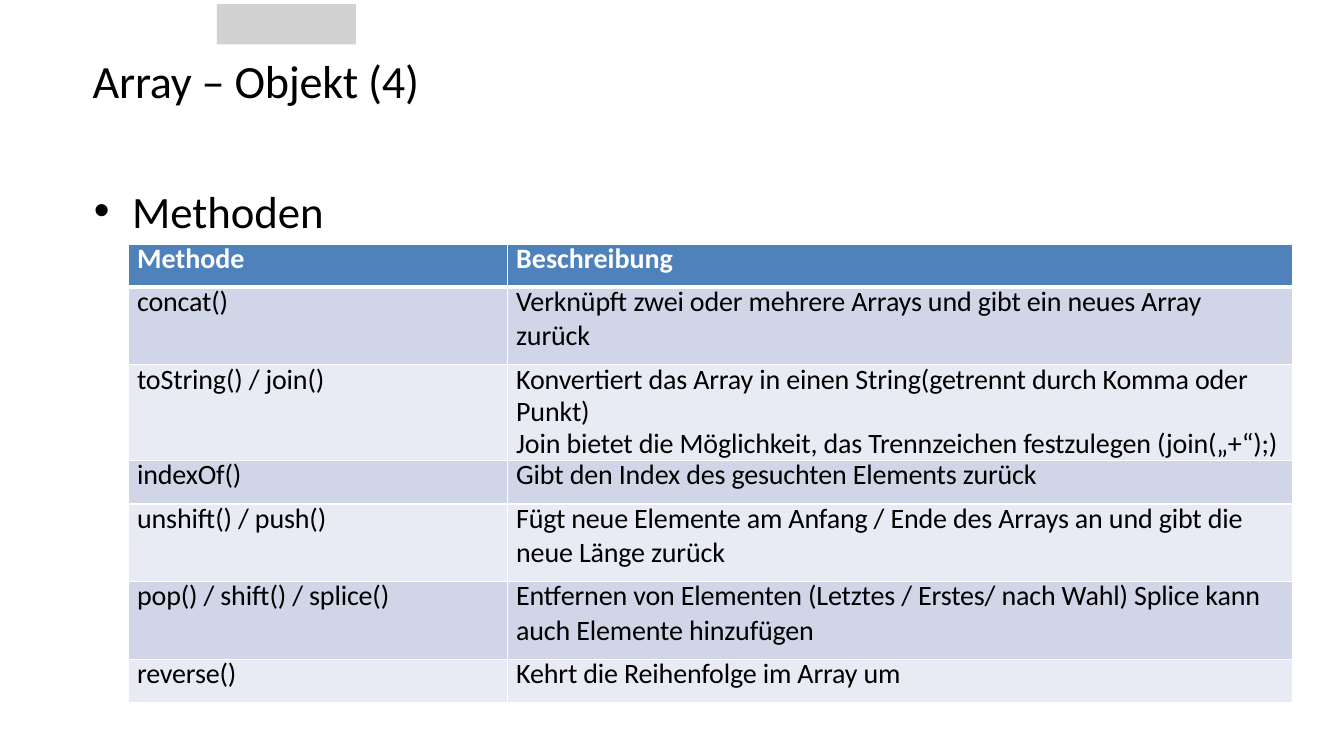
from pptx import Presentation
from pptx.dml.color import RGBColor
from pptx.enum.shapes import MSO_SHAPE
from pptx.oxml.ns import qn
from pptx.util import Emu, Pt
from lxml import etree

RECTANGLE = MSO_SHAPE.RECTANGLE
PX = 9144  # 100 px to the inch

THEME = {
    "font": "Calibri",
    "black": RGBColor(0x00, 0x00, 0x00),
    "white": RGBColor(0xFF, 0xFF, 0xFF),
    "grey": RGBColor(0xD3, 0xD2, 0xD2),
    "header": RGBColor(0x4F, 0x81, 0xBB),
    "bands": [RGBColor(0xE9, 0xEB, 0xF4), RGBColor(0xD0, 0xD6, 0xE8)],
    "title_size": Pt(33),
    "bullet_size": Pt(32),
    "table_size": Pt(20),
    "line_spacing": Pt(22.8),
}


def write(paragraph, text, size, color, bold=False, tracking=-10):
    """Fill a paragraph; tracking is in hundredths of a point."""
    paragraph.text = text
    formats = {"name": THEME["font"], "size": size, "bold": bold}
    for run in paragraph.runs:
        for name, value in formats.items():
            setattr(run.font, name, value)
        run.font.color.rgb = color
        run._r.get_or_add_rPr().set("spc", str(tracking))


def add_border(cell, side, width):
    properties = cell._tc.get_or_add_tcPr()
    line = etree.SubElement(properties, qn(f"a:ln{side}"), w=str(Pt(width)))
    fill = etree.SubElement(line, qn("a:solidFill"))
    etree.SubElement(fill, qn("a:srgbClr"), val=str(THEME["white"]))


presentation = Presentation()
presentation.slide_width = Emu(1333 * PX)
presentation.slide_height = Emu(750 * PX)
slide = presentation.slides.add_slide(presentation.slide_layouts[6])

# Grey block at the top
block = slide.shapes.add_shape(RECTANGLE, 215 * PX, 4 * PX, 138 * PX, 40 * PX)
block.shadow.inherit = False
block.fill.solid()
block.fill.fore_color.rgb = THEME["grey"]
block.line.fill.background()

# Title and bullet
headings = [
    ("Array – Objekt (4)", (92, 51, 327, 58), THEME["title_size"], -20),
    ("Methoden", (92, 181, 231, 56), THEME["bullet_size"], -5),
]
for text, box, size, tracking in headings:
    shape = slide.shapes.add_textbox(*[length * PX for length in box])
    frame = shape.text_frame
    margins = {"margin_left": 0, "margin_top": PX, "margin_right": 0, "margin_bottom": 0}
    for name, value in margins.items():
        setattr(frame, name, value)
    paragraph = frame.paragraphs[0]
    paragraph.space_before = Pt(1)
    write(paragraph, text, size, THEME["black"], tracking=tracking)

# The last heading carries the bullet
bullet_properties = paragraph._p.get_or_add_pPr()
bullet_properties.set("marL", str(39 * PX))
bullet_properties.set("indent", str(-38 * PX))
etree.SubElement(bullet_properties, qn("a:buFont"), typeface="Arial")
etree.SubElement(bullet_properties, qn("a:buChar"), char="•")

# Table of methods: "\n" starts a paragraph, "\v" breaks a line
methods = [
    ("Methode", "Beschreibung"),
    ("concat()", "Verknüpft zwei oder mehrere Arrays und gibt ein neues Array\nzurück"),
    ("toString() / join()",
     "Konvertiert das Array in einen String(getrennt durch Komma oder Punkt) \v"
     "Join bietet die Möglichkeit, das Trennzeichen festzulegen (join(„+“);)"),
    ("indexOf()", "Gibt den Index des gesuchten Elements zurück"),
    ("unshift() / push()",
     "Fügt neue Elemente am Anfang / Ende des Arrays an und gibt die\nneue Länge zurück"),
    ("pop() / shift() / splice()",
     "Entfernen von Elementen (Letztes / Erstes/ nach Wahl) Splice kann\n"
     "auch Elemente hinzufügen"),
    ("reverse()", "Kehrt die Reihenfolge im Array um"),
]
column_widths = [376, 779]
row_heights = [43, 77, 95, 43, 77, 77, 43]

table = slide.shapes.add_table(
    len(methods), len(column_widths), 127 * PX, 242 * PX,
    sum(column_widths) * PX, sum(row_heights) * PX).table
for column, width in zip(table.columns, column_widths):
    column.width = Emu(width * PX)

for row_index, texts in enumerate(methods):
    table.rows[row_index].height = Emu(row_heights[row_index] * PX)
    is_header = row_index == 0
    for column_index, text in enumerate(texts):
        cell = table.cell(row_index, column_index)
        margins = {"margin_left": 9 * PX, "margin_top": 0, "margin_right": 0, "margin_bottom": 0}
        for name, value in margins.items():
            setattr(cell, name, value)

        # Borders come before the fill in the cell properties
        widths = {"L": 1, "R": 1, "T": 3 if row_index == 1 else 1, "B": 3 if is_header else 1}
        for side, width in widths.items():
            add_border(cell, side, width)
        cell.fill.solid()
        cell.fill.fore_color.rgb = THEME["header"] if is_header else THEME["bands"][row_index % 2]

        # Only the first paragraph has a fixed line height
        for line_index, line in enumerate(text.split("\n")):
            frame = cell.text_frame
            paragraph = frame.add_paragraph() if line_index else frame.paragraphs[0]
            if line_index == 0:
                paragraph.line_spacing = THEME["line_spacing"]
            write(paragraph, line, THEME["table_size"],
                  THEME["white"] if is_header else THEME["black"],
                  bold=is_header, tracking=0 if is_header else -15)

presentation.save("out.pptx")
